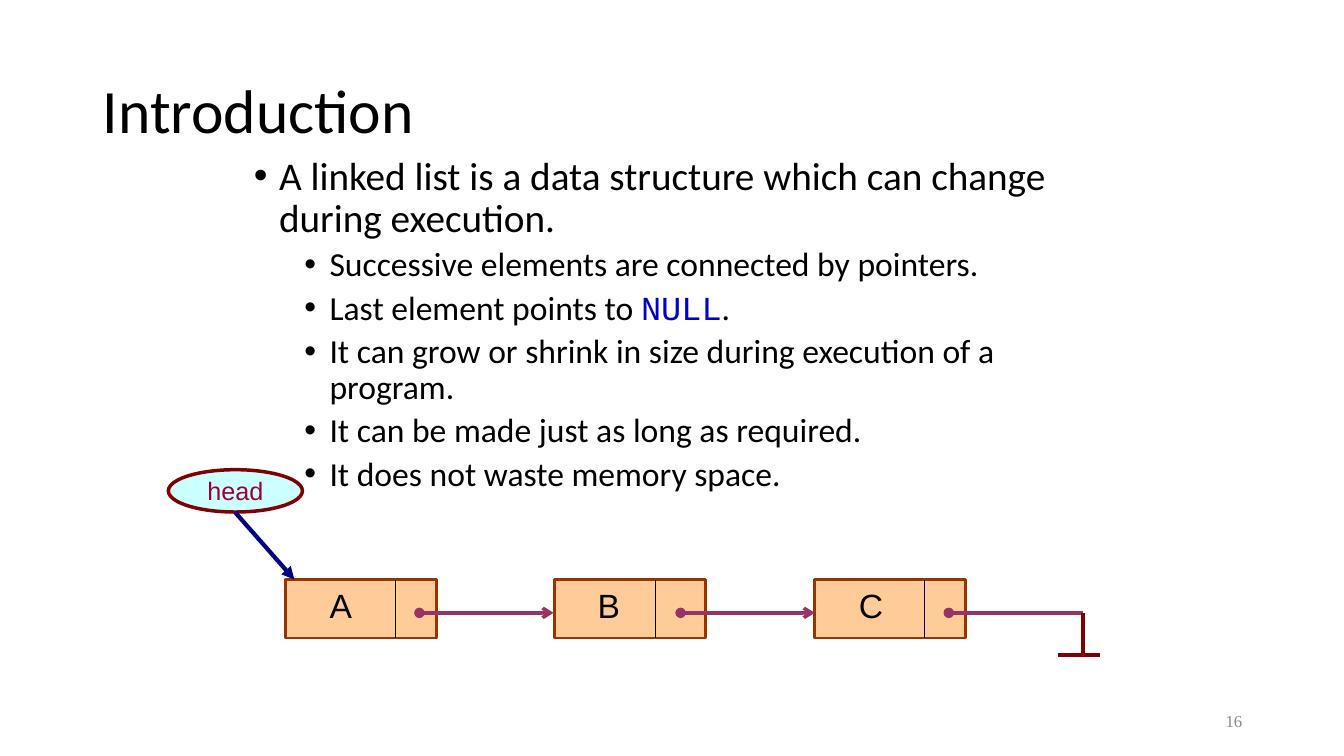
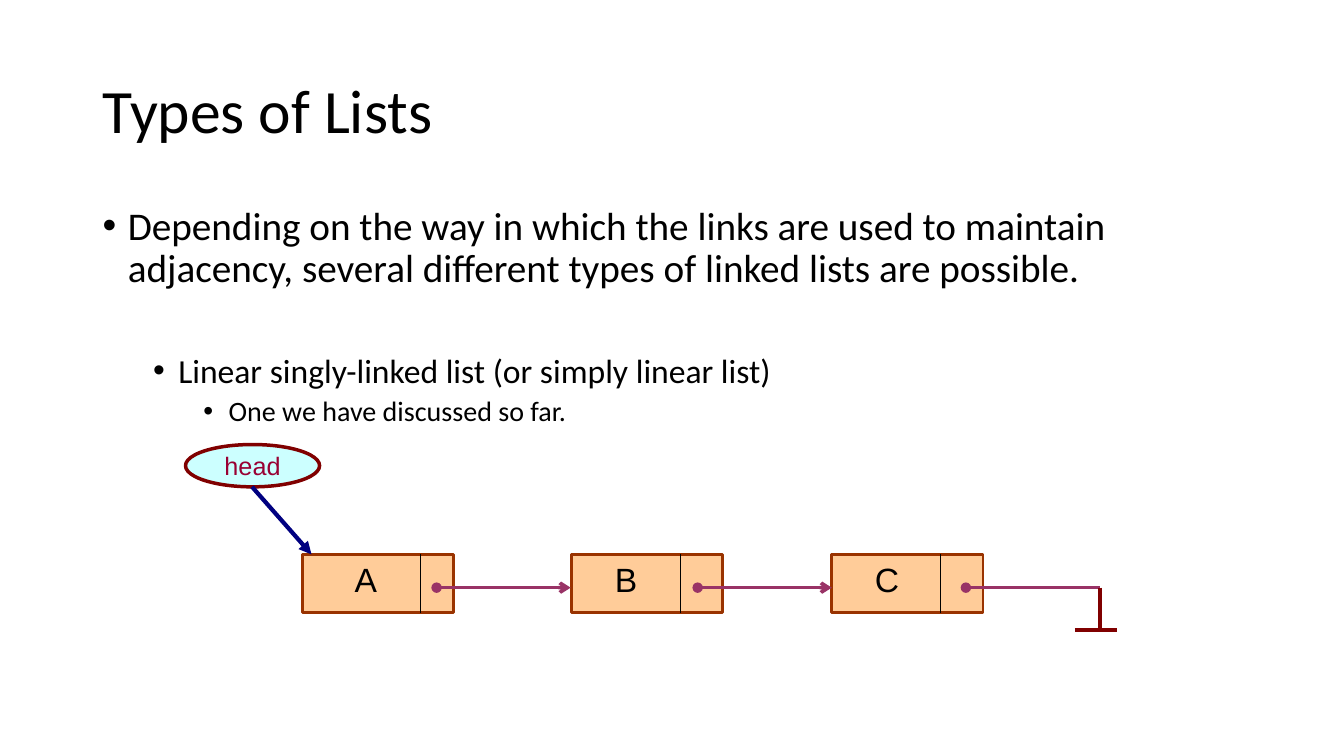
from lxml import etree
from pptx import Presentation
from pptx.dml.color import RGBColor
from pptx.enum import shapes, text
from pptx.oxml import ns
from pptx.util import Inches, Pt

BLACK = RGBColor(0x00, 0x00, 0x00)
GREY = RGBColor(0x89, 0x89, 0x89)
CODE_BLUE = RGBColor(0x00, 0x00, 0xCC)
NAVY = RGBColor(0x00, 0x00, 0x80)
PEACH = RGBColor(0xFF, 0xCC, 0x99)
BROWN = RGBColor(0x99, 0x33, 0x00)
PLUM = RGBColor(0x99, 0x33, 0x66)
MAROON = RGBColor(0x80, 0x00, 0x00)
PALE_CYAN = RGBColor(0xCC, 0xFF, 0xFF)
CRIMSON = RGBColor(0x99, 0x00, 0x33)

BULLET_SIZES = [28, 24, 20]
NODE_W, NODE_H = 1.5, 0.58
LINK_LENGTH = 1.33
# letter, left edge of the node, start of its link within the node
NODES = [("A", 2.83, 1.33), ("B", 5.5, 1.25), ("C", 8.08, 1.33)]

# bullets: level, space before in points, pieces of text (code marked True)
SLIDES = [
    {
        "title": "Introduction",
        "body": (2.42, 1.5, 8.75, 5.17),
        "bullets": [
            (0, 0, [("A linked list is a data structure which can change "
                     "during execution.", False)]),
            (1, 5, [("Successive elements are connected by pointers.", False)]),
            (1, 5, [("Last element points to ", False), ("NULL", True),
                    (".", False)]),
            (1, 5, [("It can grow or shrink in size during execution of a "
                     "program.", False)]),
            (1, 5, [("It can be made just as long as required.", False)]),
            (1, 5, [("It does not waste memory space.", False)]),
        ],
        "number": "16",
        "shift": (0, 0),
        "letter_insets": [0.34, 0.33, 0.34],
        "dividers": [1.09, 1.0, 1.09],
    },
    {
        "title": "Types of Lists",
        "body": (0.92, 2, 11.5, 4.76),
        "bullets": [
            (0, 0, [("Depending on the way in which the links are used to "
                     "maintain adjacency, several different types of linked "
                     "lists are possible.", False)]),
            (1, 45, [("Linear singly-linked list (or simply linear list)",
                      False)]),
            (2, 5, [("One we have discussed so far.", False)]),
        ],
        "number": None,
        "shift": (0.17, -0.25),
        "letter_insets": [0.42, 0.33, 0.33],
        "dividers": [1.17, 1.08, 1.08],
    },
]


def write(paragraph, content, size, font="Calibri", color=BLACK, align=None):
    """Append a formatted run to the paragraph."""
    run = paragraph.add_run()
    run.text = content
    run.font.size = Pt(size)
    run.font.name = font
    run.font.color.rgb = color
    if align is not None:
        paragraph.alignment = align


def add_line(slide, start, end, color, width, head=None, tail=None):
    """Draw a straight line, with optional arrowheads at start and end."""
    line = slide.shapes.add_connector(
        shapes.MSO_CONNECTOR.STRAIGHT, *map(Inches, start + end))
    line.line.color.rgb = color
    line.line.width = Pt(width)
    outline = line.line._get_or_add_ln()
    for tag, kind in (("a:headEnd", head), ("a:tailEnd", tail)):
        if kind:
            etree.SubElement(outline, ns.qn(tag), type=kind)
    etree.SubElement(line._element.spPr, ns.qn("a:effectLst"))


prs = Presentation()
prs.slide_width, prs.slide_height = Inches(13.33), Inches(7.5)

for content in SLIDES:
    slide = prs.slides.add_slide(prs.slide_layouts[5])

    title = slide.shapes.title
    title.left, title.top = Inches(0.92), Inches(0.4)
    title.width, title.height = Inches(11.5), Inches(1.45)
    title.text_frame.vertical_anchor = text.MSO_ANCHOR.MIDDLE
    heading = title.text_frame.paragraphs[0]
    heading.line_spacing = 0.9
    write(heading, content["title"], 44, align=text.PP_ALIGN.LEFT)

    body = slide.shapes.add_textbox(*map(Inches, content["body"])).text_frame
    body.word_wrap = True
    for i, (level, space, pieces) in enumerate(content["bullets"]):
        bullet = body.add_paragraph() if i else body.paragraphs[0]
        bullet.level = level
        props = bullet._p.get_or_add_pPr()
        props.set("marL", str(Inches(0.25 + 0.5 * level)))
        props.set("indent", str(Inches(-0.25)))
        etree.SubElement(props, ns.qn("a:buFont"), typeface="Arial")
        etree.SubElement(props, ns.qn("a:buChar"), char="•")
        bullet.line_spacing = 0.9
        bullet.space_before = Pt(space)
        for words, is_code in pieces:
            write(bullet, words, BULLET_SIZES[level],
                  font="Courier New" if is_code else "Calibri",
                  color=CODE_BLUE if is_code else BLACK)

    if content["number"]:
        number = slide.shapes.add_textbox(
            Inches(9.42), Inches(6.95), Inches(3), Inches(0.4)).text_frame
        number.word_wrap = True
        number.vertical_anchor = text.MSO_ANCHOR.MIDDLE
        write(number.paragraphs[0], content["number"], 12,
              font="Times New Roman", color=GREY, align=text.PP_ALIGN.RIGHT)

    # Linked list: nodes, their links, and the ground sign after the last one
    dx, dy = content["shift"]
    node_top = 5.75 + dy
    link_y = node_top + 0.33
    for letter, left, _ in NODES:
        node = slide.shapes.add_shape(
            shapes.MSO_SHAPE.RECTANGLE, Inches(left + dx), Inches(node_top),
            Inches(NODE_W), Inches(NODE_H))
        node.shadow.inherit = False
        node.fill.solid()
        node.fill.fore_color.rgb = PEACH
        node.line.color.rgb = BROWN
        node.line.width = Pt(2)

    for (letter, left, link_start), inset, divider in zip(
            NODES, content["letter_insets"], content["dividers"]):
        node_left = left + dx
        link_x = node_left + link_start
        ground_x = link_x + LINK_LENGTH
        add_line(slide, (link_x, link_y), (ground_x, link_y), PLUM, 2.5,
                 head="oval", tail=None if letter == "C" else "arrow")
        add_line(slide, (node_left + divider, node_top),
                 (node_left + divider, node_top + NODE_H), BLACK, 0.75)
        label = slide.shapes.add_textbox(
            Inches(node_left + inset), Inches(node_top),
            Inches(0.67), Inches(0.5)).text_frame
        label.word_wrap = True
        write(label.paragraphs[0], letter, 24, font="Arial")

    ground_y = link_y + 0.42
    add_line(slide, (ground_x, link_y), (ground_x, ground_y), MAROON, 2.5)
    add_line(slide, (ground_x - 0.25, ground_y), (ground_x + 0.17, ground_y),
             MAROON, 2.5)

    head = slide.shapes.add_shape(
        shapes.MSO_SHAPE.OVAL, Inches(1.67 + dx), Inches(4.66 + dy),
        Inches(1.33), Inches(0.42))
    head.shadow.inherit = False
    head.fill.solid()
    head.fill.fore_color.rgb = PALE_CYAN
    head.line.color.rgb = MAROON
    head.line.width = Pt(2.5)
    head.text_frame.word_wrap = False
    head.text_frame.vertical_anchor = text.MSO_ANCHOR.MIDDLE
    write(head.text_frame.paragraphs[0], "head", 18, font="Arial",
          color=CRIMSON, align=text.PP_ALIGN.CENTER)
    add_line(slide, (2.33 + dx, 5.08 + dy), (2.92 + dx, node_top), NAVY, 3,
             tail="triangle")

prs.save("out.pptx")
